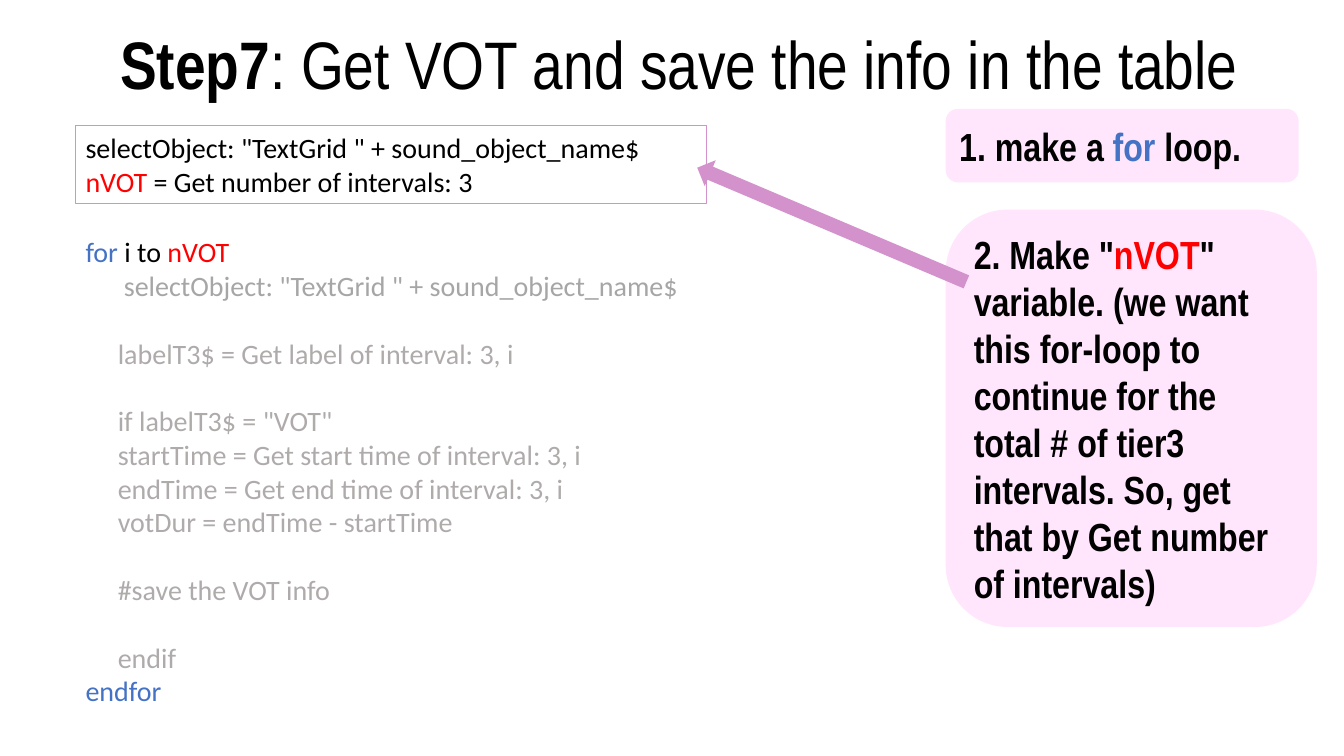
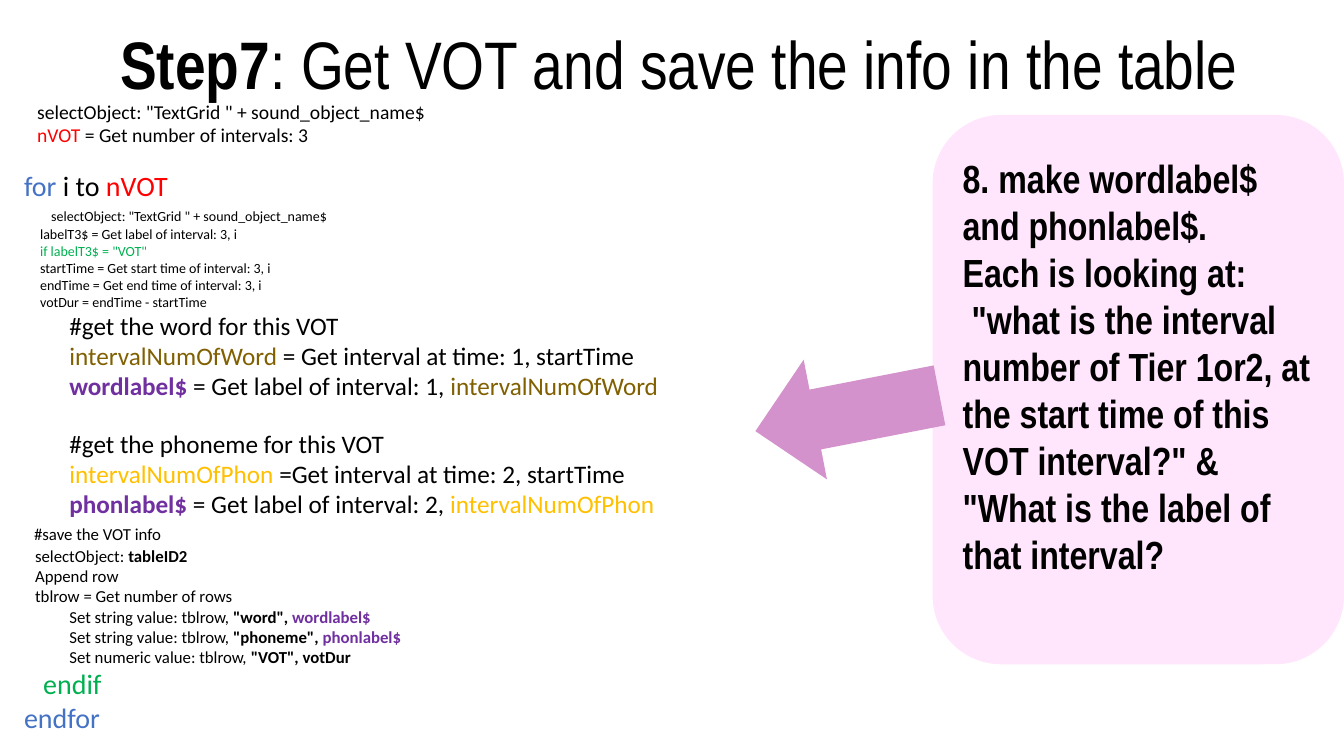
from pptx import Presentation
from pptx.dml.color import RGBColor
from pptx.enum.shapes import MSO_SHAPE as SHAPE
from pptx.enum.text import MSO_ANCHOR as ANCHOR, MSO_AUTO_SIZE as AUTO, PP_ALIGN as ALIGN
from pptx.util import Inches, Pt

W, H = 13.33, 7.5
COLOURS = {
    "black": "000000", "red": "FF0000", "blue": "4472C4", "green": "00B050",
    "grey": "A6A6A6", "dim": "AFABAB", "brown": "806000", "gold": "FFC000",
    "purple": "7030A0", "pink": "FFE6FC", "orchid": "D492CC",
}
CODE, NOTE = "Calibri", "Arial Narrow"
LINE = 1.22  # line height of the code font, as a share of its size

# A run is text or (text, colour, bold); a line is a dict of runs and format


def line(*runs, size=20, indent=0, before=0):
    return {"runs": runs, "size": size, "indent": indent, "before": before}


def block(size, indent, *rows):
    return [line(*(row if isinstance(row, list) else [row]), size=size, indent=indent)
            for row in rows]


def gap(row, size):
    """Leave one line of the given size open above a row."""
    return {**row, "before": size * LINE}


# ---- Content ----
TITLE = [line(("Step7", "black", True), ": Get VOT and save the info in the table", size=48)]
SELECT = 'selectObject: "TextGrid " + sound_object_name$'
COUNT = [("nVOT", "red"), " = Get number of intervals: 3"]
FOR = line(("for ", "blue"), "i to ", ("nVOT", "red"))
ENDFOR = line(("endfor", "blue"))
LABEL = "labelT3$ = Get label of interval: 3, i"
IF = 'if labelT3$ = "VOT"'
TIMES = ["startTime = Get start time of interval: 3, i",
         "endTime = Get end time of interval: 3, i",
         "votDur = endTime - startTime"]
SAVE = "#save the VOT info"


def dim_block(*rows):
    first, *rest = block(20, 0.32, *[[(row, "dim")] for row in rows])
    return [gap(first, 20), *rest]


loop_outline = [
    FOR,
    line((SELECT, "grey"), indent=0.38),
    *dim_block(LABEL),
    *dim_block(IF, *TIMES),
    *dim_block(SAVE),
    *dim_block("endif"),
    ENDFOR,
]


def lookup(what, number, variable, colour, label):
    return block(18, 0.45, f"#get the {what} for this VOT",
                 [(variable, colour), f" = Get interval at time: {number}, startTime"],
                 [(label, "purple", True), f" = Get label of interval: {number}, ",
                  (variable, colour)])


word = lookup("word", 1, "intervalNumOfWord", "brown", "wordlabel$")
phon = lookup("phoneme", 2, "intervalNumOfPhon", "gold", "phonlabel$")
phon[1]["runs"] = [("intervalNumOfPhon", "gold"), " =Get interval at time: 2, startTime"]

loop_full = [
    FOR,
    line(SELECT, size=10, indent=0.27, before=4),
    line(LABEL, size=10, indent=0.16, before=1),
    *block(10, 0.16, [(IF, "green")], *TIMES),
    *word,
    gap(phon[0], 16), *phon[1:],
    line(SAVE, size=12, indent=0.1, before=4),
    line("selectObject: ", ("tableID2", "black", True), size=12, indent=0.11, before=1),
    *block(12, 0.11, "Append row", "tblrow = Get number of rows"),
    *block(12, 0.45, *[
        [f"Set {kind} value: tblrow, ", (f'"{column}", ', "black", True), (value, colour, True)]
        for kind, column, value, colour in [
            ("string", "word", "wordlabel$", "purple"),
            ("string", "phoneme", "phonlabel$", "purple"),
            ("numeric", "VOT", "votDur", "black")]]),
    line(("endif", "green"), indent=0.19),
    ENDFOR,
]


def note(*runs, indent=0):
    bold = [(*r, True) if isinstance(r, tuple) else (r, "black", True) for r in runs]
    return line(*bold, size=28, indent=indent)


# "code" entries: box, lines, framed; "notes": box, lines, bottom inset; "arrow": box, turn
SLIDES = [
    {"code": [((0.75, 1.25, 6.26, 0.77), block(20, 0, SELECT, COUNT), True),
              ((0.75, 2.28, 9.03, 4.81), loop_outline, False)],
     "notes": [((9.38, 1.08, 3.5, 0.73),
                [note("1. make a", (" for", "blue"), " loop.")], 0.05),
               ((9.38, 2.08, 3.68, 4.14),
                [note('2. Make "', ("nVOT", "red"),
                      '" variable. (we want this for-loop to continue for the total '
                      "# of tier3 intervals. So, get that by Get number of intervals)")], 0.05)],
     "arrow": ((8.11, 0.78, 0.28, 2.9), 113)},
    {"code": [((0.27, 0.94, 6.26, 0.57), block(14, 0, SELECT, COUNT), False),
              ((0.14, 1.62, 9.34, 5.92), loop_full, False)],
     "notes": [((9.25, 1.14, 4.08, 5.45),
                [note("8. make wordlabel$ and phonlabel$."),
                 note("Each is looking at:"),
                 note('"what is the interval number of Tier 1or2, at the start time of this '
                      'VOT interval?" & "What is the label of that interval?', indent=0.09)],
                0.52)],
     "arrow": ((7.8, 3.17, 1.21, 1.86), 79)},
]


# ---- Drawing ----
def rgb(name):
    return RGBColor.from_string(COLOURS[name])


def write(sp, lines, font, anchor=ANCHOR.TOP, align=ALIGN.LEFT, bottom=0.05):
    tf = sp.text_frame
    frame = {"word_wrap": True, "auto_size": AUTO.NONE, "vertical_anchor": anchor,
             "margin_left": Inches(0.1), "margin_right": Inches(0.1),
             "margin_top": Inches(0.05), "margin_bottom": Inches(bottom)}
    for name, value in frame.items():
        setattr(tf, name, value)
    for i, row in enumerate(lines):
        p = tf.add_paragraph() if i else tf.paragraphs[0]
        p.alignment = align
        if row["before"]:
            p.space_before = Pt(row["before"])
        if row["indent"]:
            pPr = p._p.get_or_add_pPr()
            pPr.set("marL", "0")
            pPr.set("indent", str(Inches(row["indent"])))
        for run in row["runs"]:
            text, colour, bold = (*((run,) if isinstance(run, str) else run),
                                  "black", False)[:3] if not (
                isinstance(run, tuple) and len(run) == 2) else (*run, False)
            r = p.add_run()
            r.text = text
            for name, value in {"name": font, "size": Pt(row["size"]), "bold": bold}.items():
                setattr(r.font, name, value)
            r.font.color.rgb = rgb(colour)


def add_shape(s, kind, box, fill=None, outline=None):
    sp = s.shapes.add_shape(kind, *map(Inches, box))
    sp.shadow.inherit = False
    if fill:
        sp.fill.solid()
        sp.fill.fore_color.rgb = rgb(fill)
    else:
        sp.fill.background()
    if outline:
        sp.line.color.rgb = rgb(outline)
        sp.line.width = Pt(0.75)
    else:
        sp.line.fill.background()
    return sp


def add_title(s):
    title = s.shapes.title
    box = zip(("left", "top", "width", "height"), (-0.06, 0.17, 13.59, 0.91))
    for name, value in box:
        setattr(title, name, Inches(value))
    write(title, TITLE, NOTE, align=ALIGN.CENTER)


def build(prs, content):
    s = prs.slides.add_slide(prs.slide_layouts[5])
    add_title(s)
    for box, lines, framed in content["code"]:
        if framed:
            sp = add_shape(s, SHAPE.RECTANGLE, box, outline="orchid")
        else:
            sp = s.shapes.add_textbox(*map(Inches, box))
        write(sp, lines, CODE)
    for box, lines, bottom in content["notes"]:
        sp = add_shape(s, SHAPE.ROUNDED_RECTANGLE, box, fill="pink")
        write(sp, lines, NOTE, anchor=ANCHOR.MIDDLE, bottom=bottom)
    box, turn = content["arrow"]
    add_shape(s, SHAPE.DOWN_ARROW, box, fill="orchid").rotation = turn


def main():
    prs = Presentation()
    prs.slide_width, prs.slide_height = Inches(W), Inches(H)
    for content in SLIDES:
        build(prs, content)
    prs.save("out.pptx")


if __name__ == "__main__":
    main()
